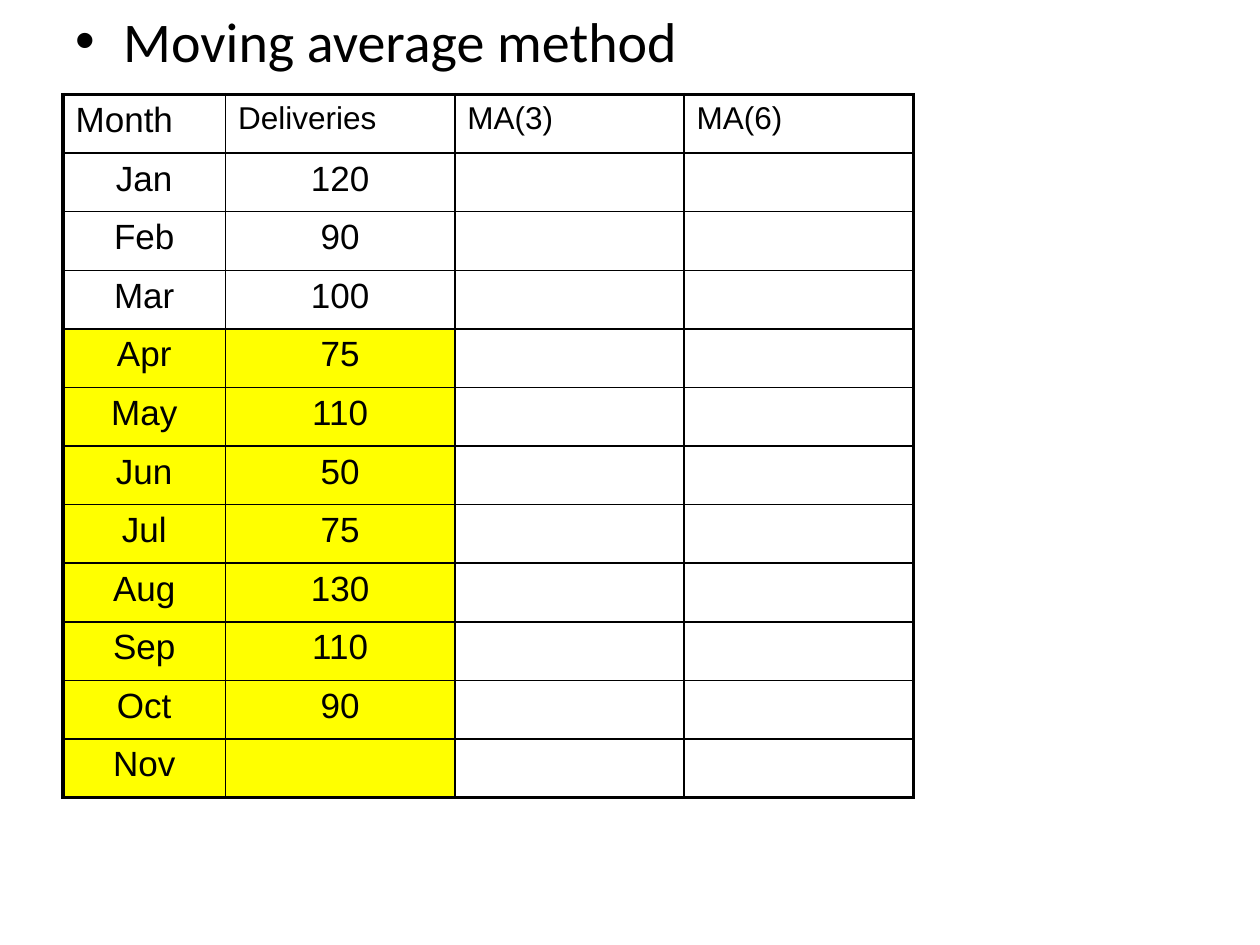
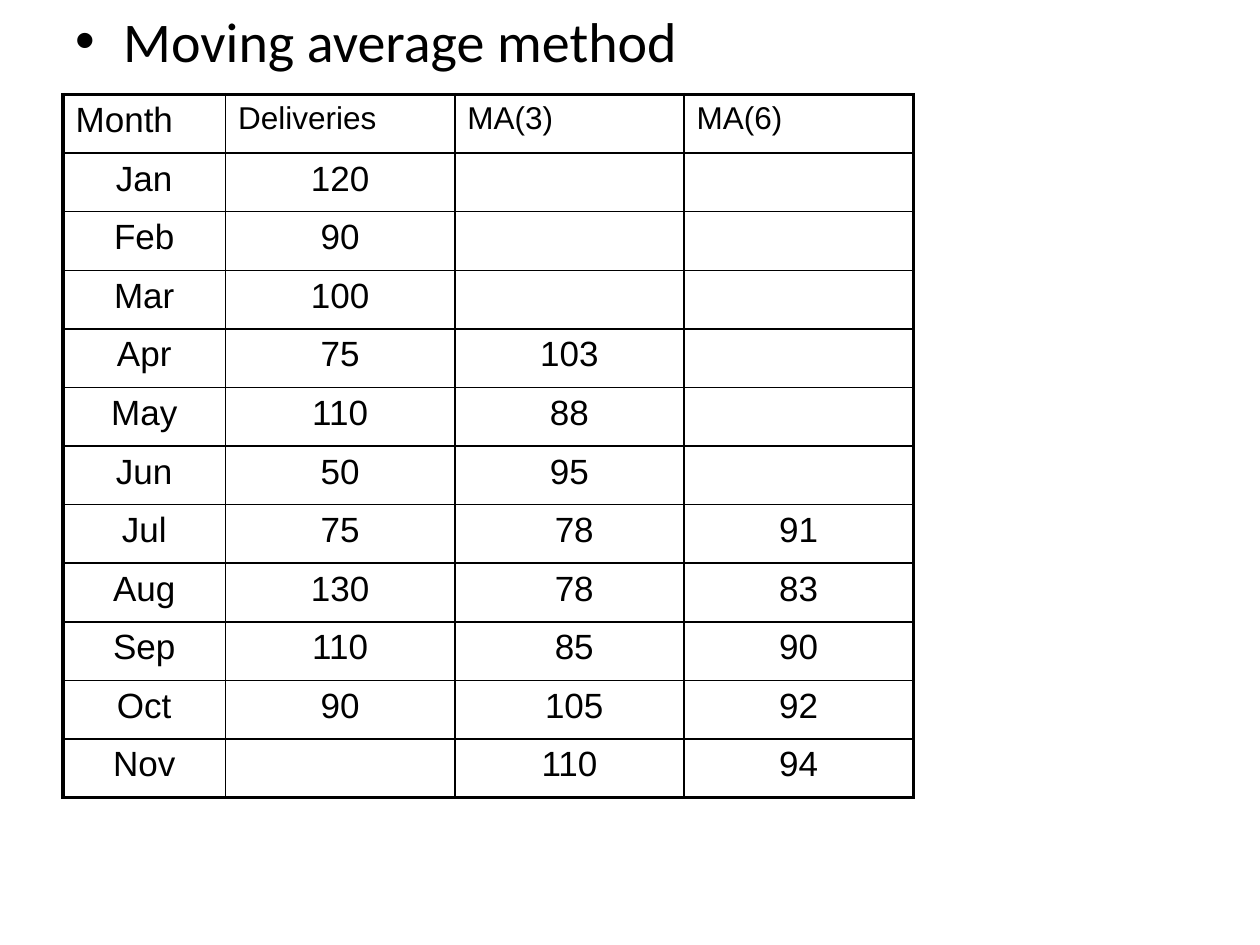
from typing import NamedTuple

import pptx
import pptx.dml.color
import pptx.enum.text
import pptx.oxml
import pptx.oxml.ns
import pptx.util
from pptx.util import Inches

BLACK = "000000"
YELLOW = "FFFF00"
THIN, THICK = 1, 2.25
TITLE = "Moving average method"
HEADS = ("Month", "Deliveries", "MA(3)", "MA(6)")
WIDTHS = (1.29, 1.82, 1.82, 1.82)


class Month(NamedTuple):
    name: str
    count: str
    short: str = ""
    long: str = ""


class Style(NamedTuple):
    font: str
    size: int
    align: pptx.enum.text.PP_ALIGN = pptx.enum.text.PP_ALIGN.LEFT


class Page(NamedTuple):
    marked: bool
    solved: bool


MONTHS = (
    Month("Jan", "120"),
    Month("Feb", "90"),
    Month("Mar", "100"),
    Month("Apr", "75", "103"),
    Month("May", "110", "88"),
    Month("Jun", "50", "95"),
    Month("Jul", "75", " 78", "91"),
    Month("Aug", "130", " 78", "83"),
    Month("Sep", "110", " 85", "90"),
    Month("Oct", "90", " 105", "92"),
    Month("Nov", "", "110", "94"),
)
FIRST = 4
PAGES = (Page(marked=True, solved=False), Page(marked=False, solved=True))

HEADING = Style("Calibri", 32)
CORNER = Style("Arial", 20)
HEAD = Style("Arial", 18)
BODY = Style("Arial", 20, pptx.enum.text.PP_ALIGN.CENTER)


def color(code: str) -> pptx.dml.color.RGBColor:
    return pptx.dml.color.RGBColor.from_string(code)


def node(xml: str):
    head, tail = xml.split(">", 1)
    slash = "/" if head.endswith("/") else ""
    space = pptx.oxml.ns.nsdecls("a")
    return pptx.oxml.parse_xml(f"{head.rstrip('/')} {space}{slash}>{tail}")


def write(frame, text: str, style: Style):
    para = frame.paragraphs[0]
    para.alignment = style.align
    props = para._p.get_or_add_pPr()
    props.append(node('<a:spcBef><a:spcPct val="20000"/></a:spcBef>'))
    run = para.add_run()
    run.text = text
    run.font.name = style.font
    run.font.size = pptx.util.Pt(style.size)
    run.font.color.rgb = color(BLACK)
    return props


def edge(cell, side: str, width: float) -> None:
    cell._tc.get_or_add_tcPr().append(node(
        f'<a:ln{side} w="{pptx.util.Pt(width)}"><a:solidFill>'
        f'<a:srgbClr val="{BLACK}"/></a:solidFill></a:ln{side}>'))


def pick(row: int, col: int) -> Style:
    if row:
        return BODY
    return HEAD if col else CORNER


def add_grid(slide, page: Page) -> None:
    shown = MONTHS if page.solved else [Month(m.name, m.count) for m in MONTHS]
    rows = [HEADS, *shown]
    last, end = len(rows) - 1, len(HEADS) - 1
    grid = slide.shapes.add_table(
        len(rows), len(HEADS), Inches(0.5), Inches(0.75),
        Inches(sum(WIDTHS)), Inches(5.58)).table
    grid.first_row = grid.horz_banding = False
    for part, width in zip(grid.columns, WIDTHS):
        part.width = Inches(width)
    for r, values in enumerate(rows):
        for c, text in enumerate(values):
            cell = grid.cell(r, c)
            outer = {"L": c == 0, "R": c == end, "T": r == 0, "B": r == last}
            for side, bold in outer.items():
                edge(cell, side, THICK if bold else THIN)
            if page.marked and r >= FIRST and c < 2:
                cell.fill.solid()
                cell.fill.fore_color.rgb = color(YELLOW)
            else:
                cell.fill.background()
            if text:
                write(cell.text_frame, text, pick(r, c))


def add_title(slide) -> None:
    box = slide.shapes.add_textbox(
        Inches(0.5), Inches(0), Inches(6), Inches(0.75))
    box.text_frame.word_wrap = True
    props = write(box.text_frame, TITLE, HEADING)
    props.set("marL", str(Inches(0.38)))
    props.set("indent", str(-Inches(0.38)))
    props.append(node('<a:buFont typeface="Arial"/>'))
    props.append(node('<a:buChar char="•"/>'))


def main() -> None:
    deck = pptx.Presentation()
    deck.slide_width, deck.slide_height = Inches(10), Inches(7.5)
    for page in PAGES:
        slide = deck.slides.add_slide(deck.slide_layouts[6])
        add_grid(slide, page)
        add_title(slide)
    deck.save("out.pptx")


if __name__ == "__main__":
    main()
